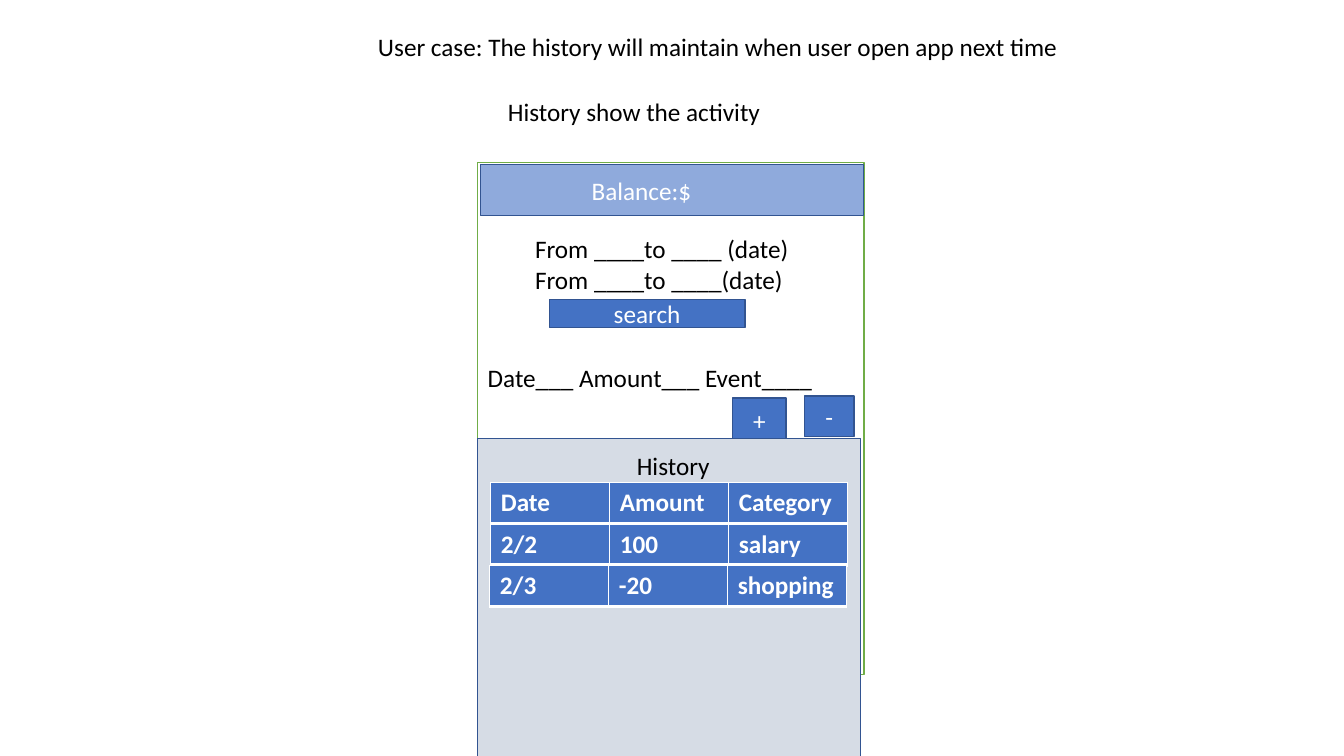
from lxml import etree
from pptx import Presentation
from pptx.dml.color import RGBColor
from pptx.enum import shapes, text
from pptx.oxml import ns
from pptx.util import Pt

# Content: boxes are left, top, width, height in points
TITLE = ("User case: The history will maintain when user open app next time",
         (262.8, 18.7, 546.5, 28.8))
NOTES = [  # text, box, list level
    ("History show the activity", (355.7, 65.5, 264.2, 51.1), 0),
    ("Date___ Amount___ Event____", (341.3, 255.6, 250.6, 28.8), 0),
    ("History", (447.8, 318.2, 82.8, 28.8), 0),
    ("From ____to ____ (date)\nFrom ____to ____(date)",
     (339.1, 163.4, 264.2, 51.1), 1),
]
BLOCKS = [  # text, box, fill, line; back to front
    ("", (341.3, 115.9, 275.8, 365.8), "screen", "frame"),
    ("Balance:$", (343.4, 117.4, 273.6, 36.7), "header", "edge"),
    ("+", (523.4, 284.4, 38.2, 31.7), "accent", "edge"),
    ("", (341.3, 313.2, 273.6, 262.8), "panel", "edge"),
    ("-", (574.6, 283, 35.3, 28.8), "accent", "edge"),
    ("search", (392.4, 213.8, 139.7, 20.2), "accent", "edge"),
]
ROWS = [  # left edge, cells
    (350.6, ("Date", "Amount", "Category")),
    (350.6, ("2/2", "100", "salary")),
    (349.9, ("2/3", "-20", "shopping")),
]
TOP, STEP, TALL, WIDE = 344.9, 29.5, 29.3, 85
INDENT = 79.2

THEME = dict(font="Calibri", size=18, ink="000000", light="FFFFFF",
             screen="FFFFFF", frame="70AD47", header="8FAADC",
             edge="325491", accent="4472C4", panel="D6DCE5")


def tint(name):
    return RGBColor.from_string(THEME[name])


def write(frame, words, color, align=text.PP_ALIGN.LEFT, bold=False, level=0):
    frame.text = words
    for para in frame.paragraphs:
        para.alignment = align
        para.level = level
        for run in para.runs:
            font = run.font
            font.name, font.size = THEME["font"], Pt(THEME["size"])
            font.bold, font.color.rgb = bold, tint(color)


def border(cell):
    props = cell._tc.get_or_add_tcPr()
    for side, width in (("L", 1), ("R", 1), ("T", 1), ("B", 3)):
        line = etree.SubElement(props, ns.qn("a:ln" + side), w=str(Pt(width)))
        fill = etree.SubElement(line, ns.qn("a:solidFill"))
        etree.SubElement(fill, ns.qn("a:srgbClr"), val=THEME["light"])


deck = Presentation()
deck.slide_width, deck.slide_height = Pt(960), Pt(540)
slide = deck.slides.add_slide(deck.slide_layouts[5])

# Title
words, box = TITLE
title = slide.shapes.title
title.left, title.top, title.width, title.height = map(Pt, box)
write(title.text_frame, words, "ink")
title.text_frame.vertical_anchor = text.MSO_ANCHOR.TOP
title.text_frame.auto_size = text.MSO_AUTO_SIZE.NONE

# App screen, bars and buttons
for words, box, fill, line in BLOCKS:
    block = slide.shapes.add_shape(shapes.MSO_SHAPE.RECTANGLE, *map(Pt, box))
    block.shadow.inherit = False
    block.fill.solid()
    block.fill.fore_color.rgb = tint(fill)
    block.line.color.rgb, block.line.width = tint(line), Pt(1)
    if words:
        frame = block.text_frame
        frame.vertical_anchor = text.MSO_ANCHOR.MIDDLE
        if fill == "header":
            frame.margin_left = Pt(INDENT)
            write(frame, words, "light")
        else:
            write(frame, words, "light", text.PP_ALIGN.CENTER)

# Plain labels
for words, box, level in NOTES:
    frame = slide.shapes.add_textbox(*map(Pt, box)).text_frame
    frame.word_wrap = True
    write(frame, words, "ink", level=level)

# History: one table for each entry
for i, (left, cells) in enumerate(ROWS):
    table = slide.shapes.add_table(
        1, len(cells), Pt(left), Pt(TOP + i * STEP),
        Pt(WIDE * len(cells)), Pt(TALL)).table
    for cell, words in zip(table.iter_cells(), cells):
        border(cell)
        cell.fill.solid()
        cell.fill.fore_color.rgb = tint("accent")
        write(cell.text_frame, words, "light", bold=True)

deck.save("out.pptx")
